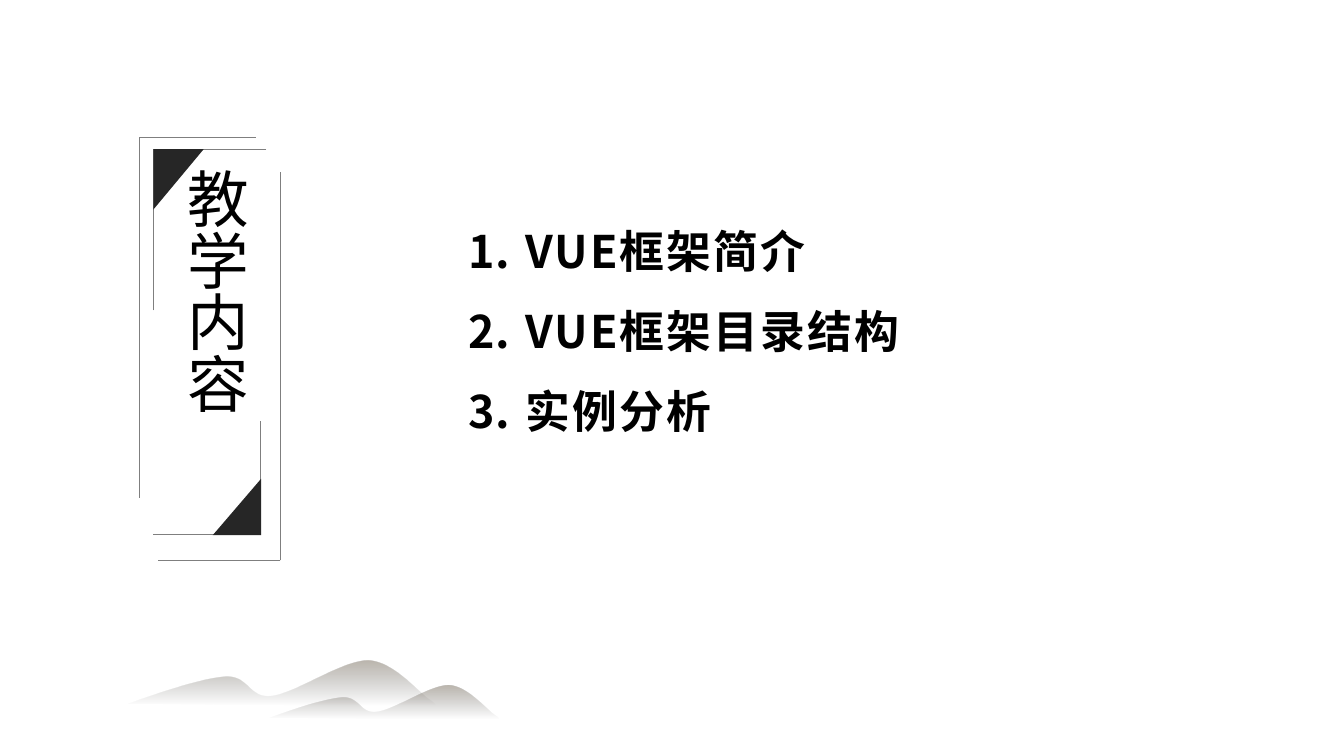
"""Build the teaching contents slide with a framed vertical title and misty hills."""
from pptx import Presentation
from pptx.dml.color import RGBColor
from pptx.enum import shapes, text
from pptx.oxml import parse_xml
from pptx.oxml.ns import nsdecls, qn
from pptx.util import Inches, Pt

TITLE = "教学内容"
TOPICS = ["VUE框架简介", "VUE框架目录结构", "实例分析"]
TITLE_AREA = (1.67, 1.62, 0.94, 3.55)
TOPICS_AREA = (4.55, 1.37, 7.6, 4.14)

FRAME_LINES = [
    (1.38, 1.36, 2.54, 1.36),
    (1.38, 1.36, 1.38, 4.94),
    (2.58, 4.18, 2.58, 5.3),
    (1.52, 5.3, 2.58, 5.3),
    (2.78, 5.56, 1.57, 5.56),
    (2.78, 5.56, 2.78, 1.71),
    (1.52, 3.08, 1.52, 1.48),
    (2.64, 1.48, 1.52, 1.48),
]
CORNERS = [((2.11, 4.75, 0.48, 0.56), 0), ((1.52, 1.48, 0.5, 0.6), 180)]

HILL_WIDTH = 3.06
HILL_START = (0, 0.43)
HILL_CURVES = [
    ((0.37, 0.3), (0.73, 0.18), (0.97, 0.16)),
    ((1.21, 0.15), (1.2, 0.38), (1.43, 0.35)),
    ((1.67, 0.32), (2.12, 0), (2.38, 0)),
    ((2.63, 0.01), (2.87, 0.31), (2.99, 0.39)),
    ((3.02, 0.41), (3.04, 0.42), (3.06, 0.46)),
]
HILLS = [(1.27, 6.55, 3.06), (2.67, 6.8, 2.28)]
HILL_STOPS = [(0, "776C5B", 50), (97, "545454", 0), (100, "545454", 0)]


def colour(value):
    return RGBColor.from_string(value)


def place(shape, area):
    shape.left, shape.top, shape.width, shape.height = map(Inches, area)


def style_run(span, font, size, bold):
    span.font.name = font
    span.font.size = Pt(size)
    span.font.bold = bold
    span.font.color.rgb = colour("000000")
    east_asian = span.font._element.makeelement(qn("a:ea"), {"typeface": font})
    span.font._element.find(qn("a:latin")).addnext(east_asian)


def add_title(page):
    box = page.shapes.title
    place(box, TITLE_AREA)
    frame = box.text_frame
    frame.text = TITLE
    frame.word_wrap = True
    frame.auto_size = text.MSO_AUTO_SIZE.SHAPE_TO_FIT_TEXT
    frame.vertical_anchor = text.MSO_ANCHOR.TOP
    frame._txBody.bodyPr.set("vert", "eaVert")
    para = frame.paragraphs[0]
    para.alignment = text.PP_ALIGN.LEFT
    style_run(para.runs[0], "Noto Sans CJK JP", 44, False)


def add_topics(page):
    box = page.placeholders[1]
    place(box, TOPICS_AREA)
    frame = box.text_frame
    frame.text = "\n".join(TOPICS)
    frame.word_wrap = True
    frame.auto_size = text.MSO_AUTO_SIZE.NONE
    frame.vertical_anchor = text.MSO_ANCHOR.TOP
    frame.margin_top = Inches(0.59)
    for para in frame.paragraphs:
        para.alignment = text.PP_ALIGN.LEFT
        para.line_spacing = Pt(57)
        para.space_before = para.space_after = Pt(0)
        settings = para._p.get_or_add_pPr()
        settings.set("marL", str(Inches(0.56)))
        settings.set("indent", str(Inches(-0.56)))
        settings.append(parse_xml(f'<a:buFont {nsdecls("a")} typeface="+mj-lt"/>'))
        settings.append(parse_xml(f'<a:buAutoNum {nsdecls("a")} type="arabicPeriod"/>'))
        span = para.runs[0]
        style_run(span, "Noto Sans CJK SC", 32, True)
        span.font._element.set("spc", "150")


def add_frame(page):
    for ends in FRAME_LINES:
        line = page.shapes.add_connector(shapes.MSO_CONNECTOR.STRAIGHT, *map(Inches, ends))
        line.line.color.rgb = colour("7F7F7F")
        line.line.width = Pt(0.5)
        line._element.spPr.append(parse_xml(f'<a:effectLst {nsdecls("a")}/>'))
    for area, rotation in CORNERS:
        corner = page.shapes.add_shape(shapes.MSO_SHAPE.ISOSCELES_TRIANGLE, *map(Inches, area))
        corner.adjustments[0] = 1
        corner.rotation = rotation
        corner.shadow.inherit = False
        corner.fill.solid()
        corner.fill.fore_color.rgb = colour("262626")
        corner.line.fill.background()


def bend_segments(hill, scale):
    segments = list(hill._element.iter(qn("a:lnTo")))
    for segment, curve in zip(segments, HILL_CURVES):
        points = "".join(f'<a:pt x="{Inches(x * scale)}" y="{Inches(y * scale)}"/>'
                         for x, y in curve)
        bend = parse_xml(f'<a:cubicBezTo {nsdecls("a")}>{points}</a:cubicBezTo>')
        segment.getparent().replace(segment, bend)


def add_hills(page):
    stops = "".join(
        f'<a:gs pos="{position * 1000}"><a:srgbClr val="{value}">'
        f'<a:alpha val="{opacity * 1000}"/></a:srgbClr></a:gs>'
        for position, value, opacity in HILL_STOPS)
    gradient = (f'<a:gradFill {nsdecls("a")} rotWithShape="1"><a:gsLst>{stops}</a:gsLst>'
                '<a:lin ang="5400000" scaled="0"/></a:gradFill>')
    corners = [HILL_START] + [curve[-1] for curve in HILL_CURVES]
    for left, top, width in HILLS:
        scale = width / HILL_WIDTH
        outline = [(Inches(left + x * scale), Inches(top + y * scale)) for x, y in corners]
        builder = page.shapes.build_freeform(*outline[0])
        builder.add_line_segments(outline[1:], close=True)
        hill = builder.convert_to_shape()
        bend_segments(hill, scale)
        hill.shadow.inherit = False
        hill.line.fill.background()
        hill.fill.background()
        properties = hill._element.spPr
        properties.replace(properties.find(qn("a:noFill")), parse_xml(gradient))


def main():
    deck = Presentation()
    deck.slide_width, deck.slide_height = Inches(13.33), Inches(7.5)
    page = deck.slides.add_slide(deck.slide_layouts[1])
    add_frame(page)
    add_title(page)
    add_topics(page)
    add_hills(page)
    deck.save("out.pptx")


if __name__ == "__main__":
    main()
